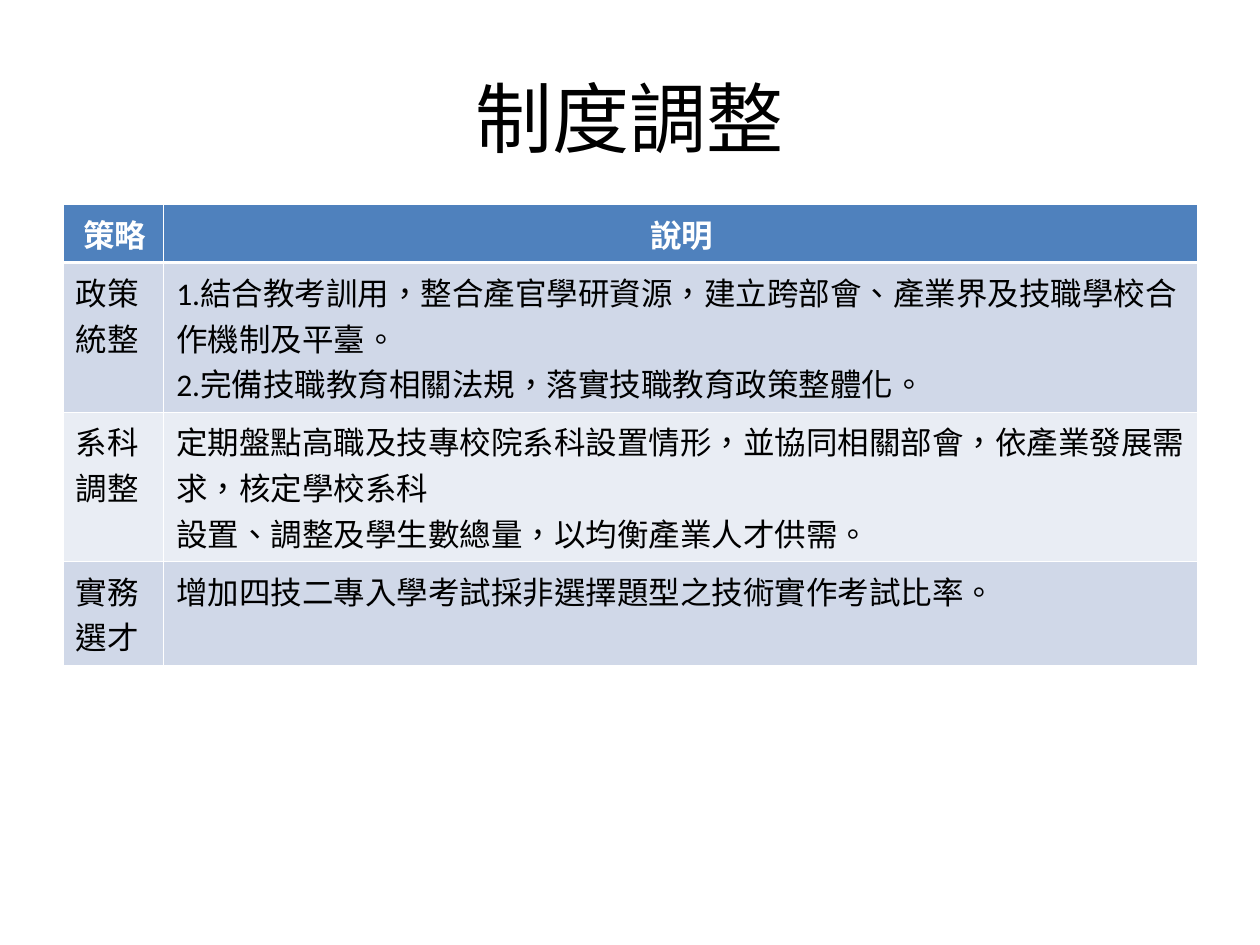
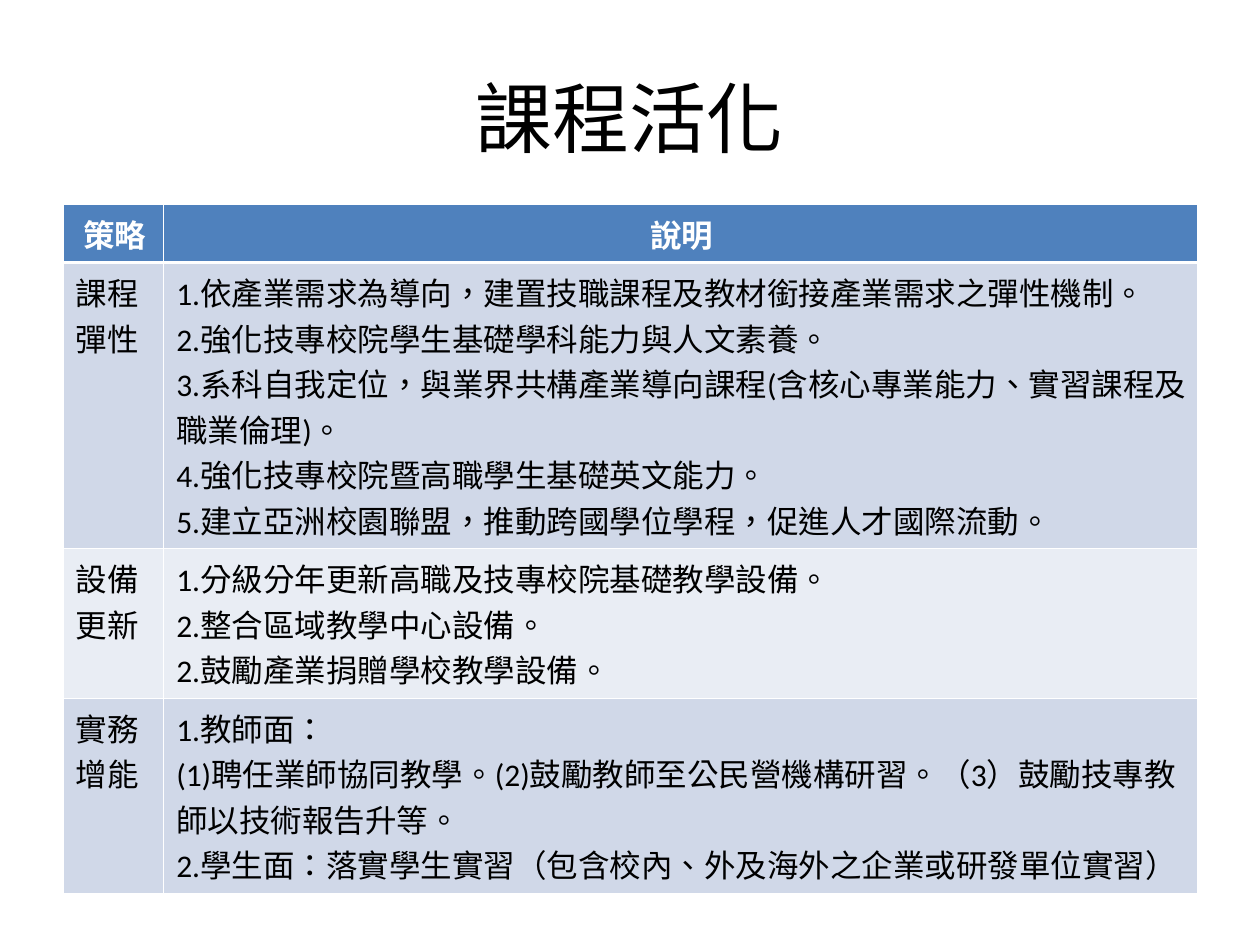
from dataclasses import dataclass

from lxml import etree
from pptx import Presentation
from pptx import util as u
from pptx.dml.color import RGBColor
from pptx.enum import lang, text
from pptx.oxml.ns import qn


@dataclass(frozen=True)
class Theme:
    font: str = "Calibri"
    title_size: int = 44
    table_size: int = 18
    ink: str = "000000"
    white: str = "FFFFFF"
    header: str = "4F81BD"
    bands: tuple = ("D0D8E8", "E9EDF4")
    thin: float = 0.45
    thick: float = 1.47


theme = Theme()

# Content: title, then (strategy, paragraphs, lines of text in the row)
HEADER = ("策略", ["說明"], 1)
SLIDES = [
    ("制度調整", [
        ("政策統整", [
            "1.結合教考訓用，整合產官學研資源，建立跨部會、產業界及技職學校合作機制及平臺。",
            "2.完備技職教育相關法規，落實技職教育政策整體化。",
        ], 3),
        ("系科調整", [
            "定期盤點高職及技專校院系科設置情形，並協同相關部會，依產業發展需求，核定學校系科",
            "設置、調整及學生數總量，以均衡產業人才供需。",
        ], 3),
        ("實務選才", ["增加四技二專入學考試採非選擇題型之技術實作考試比率。"], 2),
    ]),
    ("課程活化", [
        ("課程彈性", [
            "1.依產業需求為導向，建置技職課程及教材銜接產業需求之彈性機制。",
            "2.強化技專校院學生基礎學科能力與人文素養。",
            "3.系科自我定位，與業界共構產業導向課程(含核心專業能力、實習課程及職業倫理)。",
            "4.強化技專校院暨高職學生基礎英文能力。",
            "5.建立亞洲校園聯盟，推動跨國學位學程，促進人才國際流動。",
        ], 6),
        ("設備更新", [
            "1.分級分年更新高職及技專校院基礎教學設備。",
            "2.整合區域教學中心設備。",
            "2.鼓勵產業捐贈學校教學設備。",
        ], 3),
        ("實務增能", [
            "1.教師面：",
            "(1)聘任業師協同教學。(2)鼓勵教師至公民營機構研習。（3）鼓勵技專教師以技術報告升等。",
            "2.學生面：落實學生實習（包含校內、外及海外之企業或研發單位實習）",
        ], 4),
    ]),
]


def write(tf, lines, size, color, bold=False, align=None):
    tf.text = "\n".join(lines)
    for p in tf.paragraphs:
        p.alignment = align
        p.font.name = theme.font
        p.font.size = u.Pt(size)
        p.font.bold = bold
        p.font.color.rgb = RGBColor.from_string(color)
        # Traditional Chinese punctuation and line breaking
        for r in p.runs:
            r.font.language_id = lang.MSO_LANGUAGE_ID.TRADITIONAL_CHINESE


def set_borders(cell, widths):
    tc_pr = cell._tc.get_or_add_tcPr()
    for i, (side, width) in enumerate(widths.items()):
        ln = etree.Element(qn(f"a:ln{side}"), w=str(u.Pt(width)))
        fill = etree.SubElement(ln, qn("a:solidFill"))
        etree.SubElement(fill, qn("a:srgbClr"), val=theme.white)
        tc_pr.insert(i, ln)


prs = Presentation()
prs.slide_width, prs.slide_height = u.Cm(25.4), u.Cm(19.05)
center = text.PP_ALIGN.CENTER

for title, strategies in SLIDES:
    s = prs.slides.add_slide(prs.slide_layouts[5])

    # Title
    sp = s.shapes.title
    sp.left, sp.top, sp.width, sp.height = u.Cm(1.27), u.Cm(0.76), u.Cm(22.86), u.Cm(3.18)
    sp.text_frame.vertical_anchor = text.MSO_ANCHOR.MIDDLE
    write(sp.text_frame, [title], theme.title_size, theme.ink, align=center)

    # Strategy table; row heights follow the number of text lines
    rows = [HEADER] + strategies
    heights = [u.Cm(0.25 + 0.76 * lines) for _, _, lines in rows]
    table = s.shapes.add_table(len(rows), 2, u.Cm(1.27), u.Cm(4.12),
                               u.Cm(22.86), sum(heights)).table
    table.horz_banding = False
    table.columns[0].width, table.columns[1].width = u.Cm(2.03), u.Cm(20.83)

    for i, (strategy, notes, _) in enumerate(rows):
        table.rows[i].height = heights[i]
        is_header = i == 0
        fill = theme.header if is_header else theme.bands[(i - 1) % 2]
        widths = {"L": theme.thin, "R": theme.thin,
                  "T": theme.thick if i == 1 else theme.thin,
                  "B": theme.thick if is_header else theme.thin}
        for cell, lines in zip(table.rows[i].cells, ([strategy], notes)):
            cell.margin_right = u.Cm(0.2)
            cell.fill.solid()
            cell.fill.fore_color.rgb = RGBColor.from_string(fill)
            set_borders(cell, widths)
            write(cell.text_frame, lines, theme.table_size,
                  theme.white if is_header else theme.ink,
                  bold=is_header, align=center if is_header else None)

prs.save("out.pptx")
